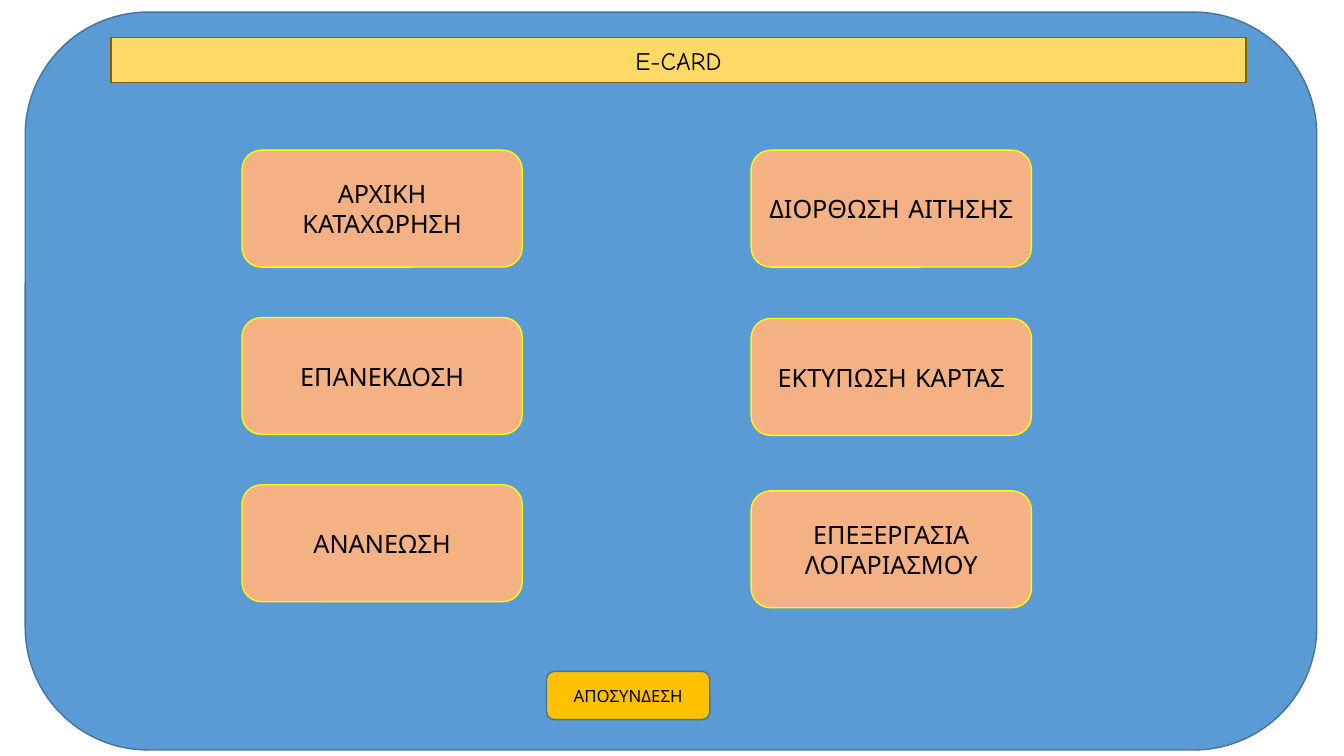
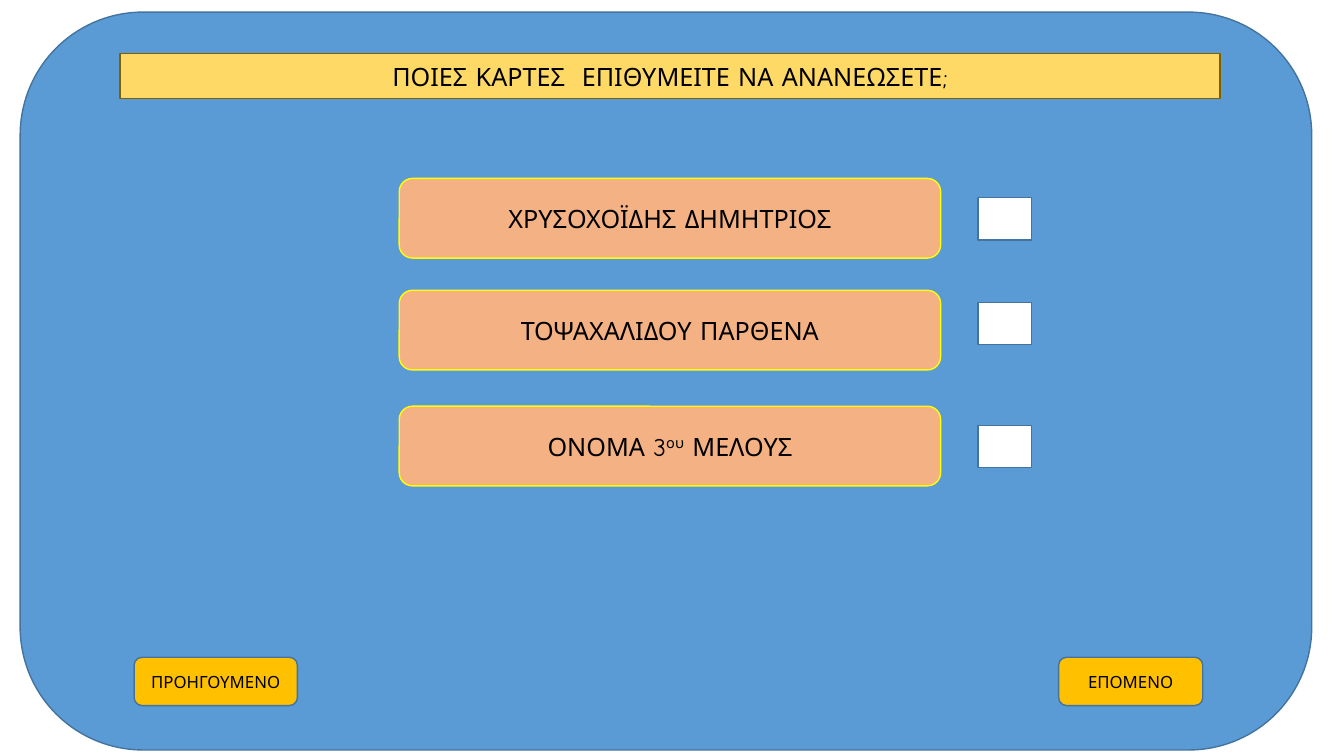
from pptx import Presentation
from pptx.dml.color import RGBColor
from pptx.enum.shapes import MSO_SHAPE as Preset
from pptx.enum.text import MSO_ANCHOR as Anchor, PP_ALIGN as Align
from pptx.util import Pt

PX = 9144  # 100 px to the inch

FONT = "Comic Neue"
TEXT_COLOR = "000000"
STYLES = {
    "panel": {"preset": Preset.ROUNDED_RECTANGLE, "fill": "5B9BD5", "line": "43739E"},
    "title": {"preset": Preset.RECTANGLE, "fill": "FFD966", "line": "806000", "size": 18},
    "option": {"preset": Preset.ROUNDED_RECTANGLE, "fill": "F4B183", "line": "FFFF00", "size": 18},
    "button": {"preset": Preset.ROUNDED_RECTANGLE, "fill": "FFC000", "line": "43739E", "size": 12},
    "checkbox": {"preset": Preset.RECTANGLE, "fill": "FFFFFF", "line": "43739E"},
}


def rgb(color):
    return RGBColor.from_string(color)


def add_box(slide, style_name, left, top, width, height, *texts):
    """Draw a styled box; every second text is a superscript."""
    style = STYLES[style_name]
    shape = slide.shapes.add_shape(
        style["preset"], left * PX, top * PX, width * PX, height * PX)
    shape.shadow.inherit = False
    shape.fill.solid()
    shape.fill.fore_color.rgb = rgb(style["fill"])
    shape.line.color.rgb = rgb(style["line"])
    shape.line.width = Pt(1)
    if not texts:
        return
    frame = shape.text_frame
    frame.word_wrap = True
    frame.vertical_anchor = Anchor.MIDDLE
    paragraph = frame.paragraphs[0]
    paragraph.alignment = Align.CENTER
    for index, text in enumerate(texts):
        run = paragraph.add_run()
        run.text = text
        for name, value in {"name": FONT, "size": Pt(style["size"])}.items():
            setattr(run.font, name, value)
        run.font.color.rgb = rgb(TEXT_COLOR)
        if index % 2:
            run._r.get_or_add_rPr().set("baseline", "30000")


presentation = Presentation()
presentation.slide_width = 1333 * PX
presentation.slide_height = 750 * PX
blank_layout = presentation.slide_layouts[6]

# Main menu
menu = presentation.slides.add_slide(blank_layout)
add_box(menu, "panel", 25, 12, 1281, 732)
add_box(menu, "title", 110, 37, 1126, 45, "E-CARD")
menu_columns = {
    240: [(149, "ΑΡΧΙΚΗ ΚΑΤΑΧΩΡΗΣΗ"), (315, "ΕΠΑΝΕΚΔΟΣΗ"), (481, "ΑΝΑΝΕΩΣΗ")],
    745: [(149, "ΔΙΟΡΘΩΣΗ ΑΙΤΗΣΗΣ"), (316, "ΕΚΤΥΠΩΣΗ ΚΑΡΤΑΣ"),
          (487, "ΕΠΕΞΕΡΓΑΣΙΑ ΛΟΓΑΡΙΑΣΜΟΥ")],
}
for left, options in menu_columns.items():
    for top, label in options:
        add_box(menu, "option", left, top, 278, 116, label)
add_box(menu, "button", 542, 666, 162, 48, "ΑΠΟΣΥΝΔΕΣΗ")

# Card renewal
renewal = presentation.slides.add_slide(blank_layout)
add_box(renewal, "panel", 20, 12, 1281, 732)
add_box(renewal, "title", 119, 53, 1091, 45, "ΠΟΙΕΣ ΚΑΡΤΕΣ  ΕΠΙΘΥΜΕΙΤΕ ΝΑ ΑΝΑΝΕΩΣΕΤΕ;")
members = [
    (177, 196, ["ΧΡΥΣΟΧΟΪΔΗΣ ΔΗΜΗΤΡΙΟΣ"]),
    (288, 300, ["ΤΟΨΑΧΑΛΙΔΟΥ ΠΑΡΘΕΝΑ"]),
    (403, 422, ["ΟΝΟΜΑ 3", "ου", " ΜΕΛΟΥΣ"]),
]
for name_top, checkbox_top, name_texts in members:
    add_box(renewal, "option", 396, name_top, 537, 79, *name_texts)
    add_box(renewal, "checkbox", 970, checkbox_top, 53, 42)
for left, width, label in [(133, 162, "ΠΡΟΗΓΟΥΜΕΝΟ"), (1050, 143, "ΕΠΟΜΕΝΟ")]:
    add_box(renewal, "button", left, 652, width, 48, label)

presentation.save("out.pptx")
